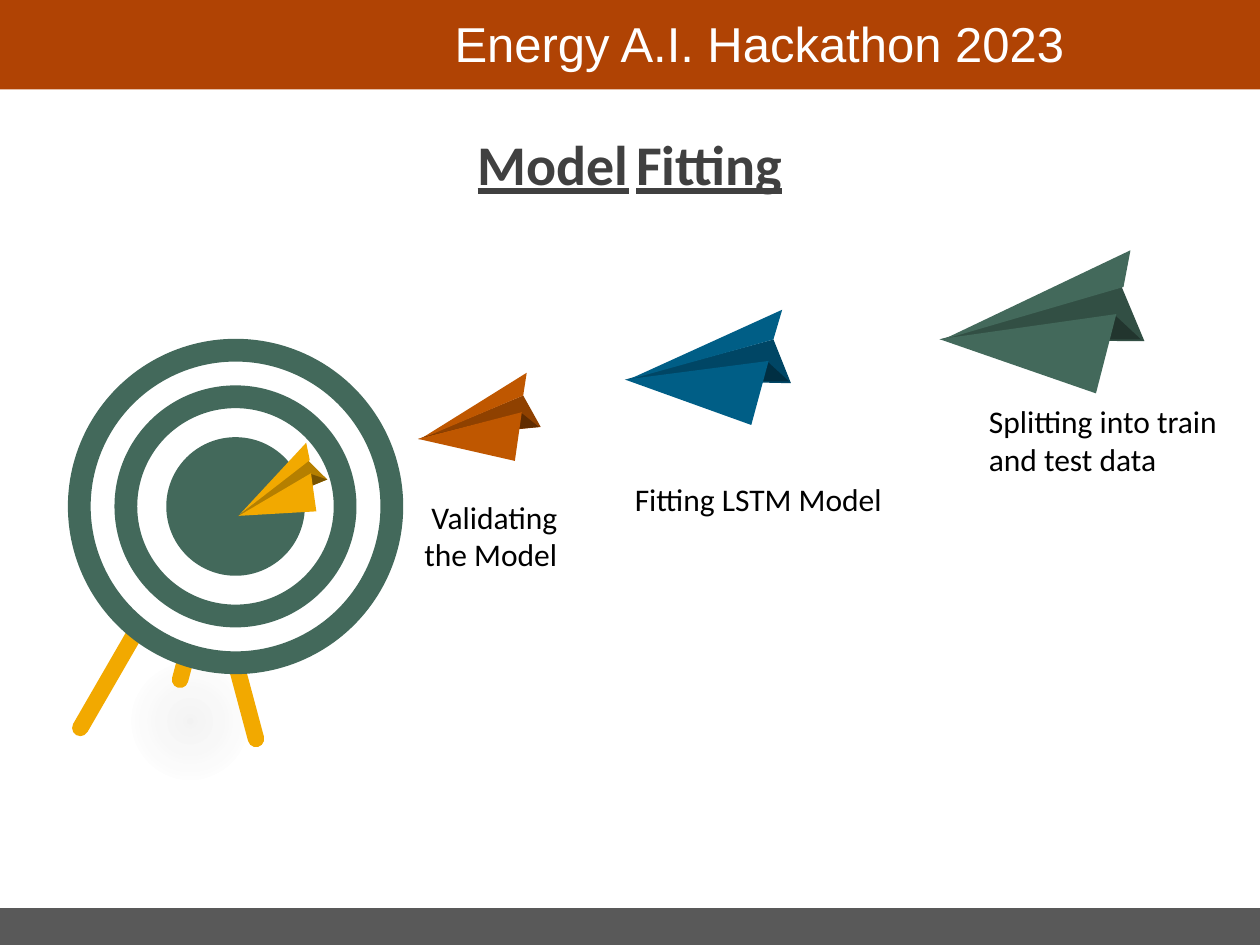
import math
import pptx
import pptx.dml.color
import pptx.enum.shapes
import pptx.enum.text
import pptx.util
from pptx.oxml import parse_xml

Pt = pptx.util.Pt
KIND = pptx.enum.shapes.MSO_SHAPE
ALIGN = pptx.enum.text.PP_ALIGN
GREEN, GOLD, WHITE = "43695B", "F2A900", "FFFFFF"
NS = "http://schemas.openxmlformats.org/drawingml/2006/main"

# Paper plane parts around the centre of its front wing, at full size
FOLD = [(67.3, 4.7), (-49.3, 3.2), (54.4, -26.3)]
WING = [(60.1, -47.2), (-47.2, 3.2), (55.1, -26.3)]
BACK = [(65.9, 4), (-46.4, 3.2), (50.8, -10.4)]
FRONT = (46.8, 94.3)
TILT = 284.4


def tint(color, code):
    """Set a colour format from a hex string."""
    color.rgb = pptx.dml.color.RGBColor.from_string(code)


def paint(shape, fill, line=None, width=0):
    """Give a shape a flat fill and an optional outline."""
    shape.shadow.inherit = False
    shape.fill.solid()
    tint(shape.fill.fore_color, fill)
    if line:
        tint(shape.line.color, line)
        shape.line.width = Pt(width)
    else:
        shape.line.fill.background()


def shape(shapes, kind, mid, size, fill, turn=0, adj=(), **line):
    """Add a preset shape around its middle point."""
    (x, y), (w, h) = mid, size
    item = shapes.add_shape(kind, Pt(x - w / 2), Pt(y - h / 2), Pt(w), Pt(h))
    item.rotation = turn
    for i, value in enumerate(adj):
        item.adjustments[i] = value
    paint(item, fill, **line)
    return item


def write(frame, words, size=18, font="Calibri", code="000000",
          bold=False, under=False, align=None):
    """Add a formatted run to the first paragraph of a frame."""
    para = frame.paragraphs[0]
    if align is not None:
        para.alignment = align
    run = para.add_run()
    run.text = words
    run.font.size, run.font.name = Pt(size), font
    run.font.bold, run.font.underline = bold, under
    tint(run.font.color, code)


def label(slide, words, box, wrap=True, **style):
    """Add a text box."""
    frame = slide.shapes.add_textbox(*map(Pt, box)).text_frame
    frame.word_wrap = wrap
    write(frame, words, **style)


def title(slide):
    """Fill the title placeholder."""
    item = slide.shapes.title
    item.left, item.top, item.width, item.height = map(Pt, (0, 79, 720, 33))
    frame = item.text_frame
    frame.vertical_anchor = pptx.enum.text.MSO_ANCHOR.MIDDLE
    para = frame.paragraphs[0]
    para.line_spacing, para.space_before = 0.9, Pt(7.5)
    for words, size, strong in (("Model", 32, True), (" ", 18, False),
                                ("Fitting", 32, True)):
        write(frame, words, size=size, code="404040", bold=strong,
              under=strong, align=ALIGN.CENTER)


def shade(slide):
    """Add the soft shadow on the ground."""
    item = shape(slide.shapes, KIND.OVAL, (108.4, 412), (216.7, 82), "404040")
    stops = "".join(
        f'<a:gs pos="{pos}"><a:srgbClr val="404040"><a:alpha val="{alpha}"/>'
        '</a:srgbClr></a:gs>'
        for pos, alpha in ((0, 6000), (30000, 0), (100000, 0)))
    fill = parse_xml(
        f'<a:gradFill xmlns:a="{NS}"><a:gsLst>{stops}</a:gsLst>'
        '<a:path path="circle"><a:fillToRect l="50000" t="50000" r="50000" '
        'b="50000"/></a:path></a:gradFill>')
    old = item.element.spPr.find(f"{{{NS}}}solidFill")
    old.getparent().replace(old, fill)


def target(slide):
    """Add the target on its three legs."""
    group = slide.shapes.add_group_shape().shapes
    for mid, turn in (((77.4, 361.4), 210), ((130, 361.4), 165),
                      ((119.2, 327.6), 195)):
        shape(group, KIND.ROUND_2_SAME_RECTANGLE, mid, (9.4, 135.4), GOLD,
              turn, (0.5, 0))
    for size, fill in ((178.6, WHITE), (125.3, WHITE), (66.2, GREEN)):
        shape(group, KIND.OVAL, (134.6, 289.4), (size, size), fill,
              line=GREEN, width=13)


def plane(slide, mid, scale, turn, main, fold, back):
    """Add a paper plane, scaled and turned about its middle."""
    group = slide.shapes.add_group_shape().shapes
    cos, sin = math.cos(math.radians(turn)), math.sin(math.radians(turn))
    for part, fill in ((FOLD, fold), (WING, main), (BACK, back)):
        dots = [(mid[0] + scale * (x * cos - y * sin),
                 mid[1] + scale * (x * sin + y * cos)) for x, y in part]
        path = group.build_freeform(*dots[0], scale=Pt(1))
        path.add_line_segments(dots[1:], close=True)
        paint(path.convert_to_shape(), fill)
    shape(group, KIND.ISOSCELES_TRIANGLE, mid, [scale * n for n in FRONT],
          main, TILT + turn, (0.166,))


def main():
    """Build the slide and save it."""
    deck = pptx.Presentation()
    deck.slide_width, deck.slide_height = Pt(720), Pt(540)
    slide = deck.slides.add_slide(deck.slide_layouts[5])
    shape(slide.shapes, KIND.RECTANGLE, (360, 25.2), (720, 51.8), "B04304")
    label(slide, "Energy A.I. Hackathon 2023", (252.7, 4.3, 367.2, 41),
          wrap=False, size=28, font="Arial", code=WHITE)
    shape(slide.shapes, KIND.RECTANGLE, (360, 529.5), (720, 21), "595959")
    title(slide)
    shade(slide)
    target(slide)
    for spec in (
            ((157.3, 284.4), 0.47, -22.4, GOLD, "B57F00", "795400"),
            ((268.2, 245.5), 0.6, -6.3, "BF5700", "8F4100", "602C00"),
            ((397.4, 214.6), 0.81, 0.7, "005E86", "004665", "002F43"),
            ((586.4, 190.4), 1, 0, GREEN, "324F44", "22352E")):
        plane(slide, *spec)
    label(slide, " Validating the Model", (235.4, 280.8, 101.5, 51))
    label(slide, "Fitting LSTM Model", (355.7, 270.7, 162.7, 29))
    label(slide, "Splitting into train and test data", (558, 226, 162, 51))
    deck.save("out.pptx")


main()
